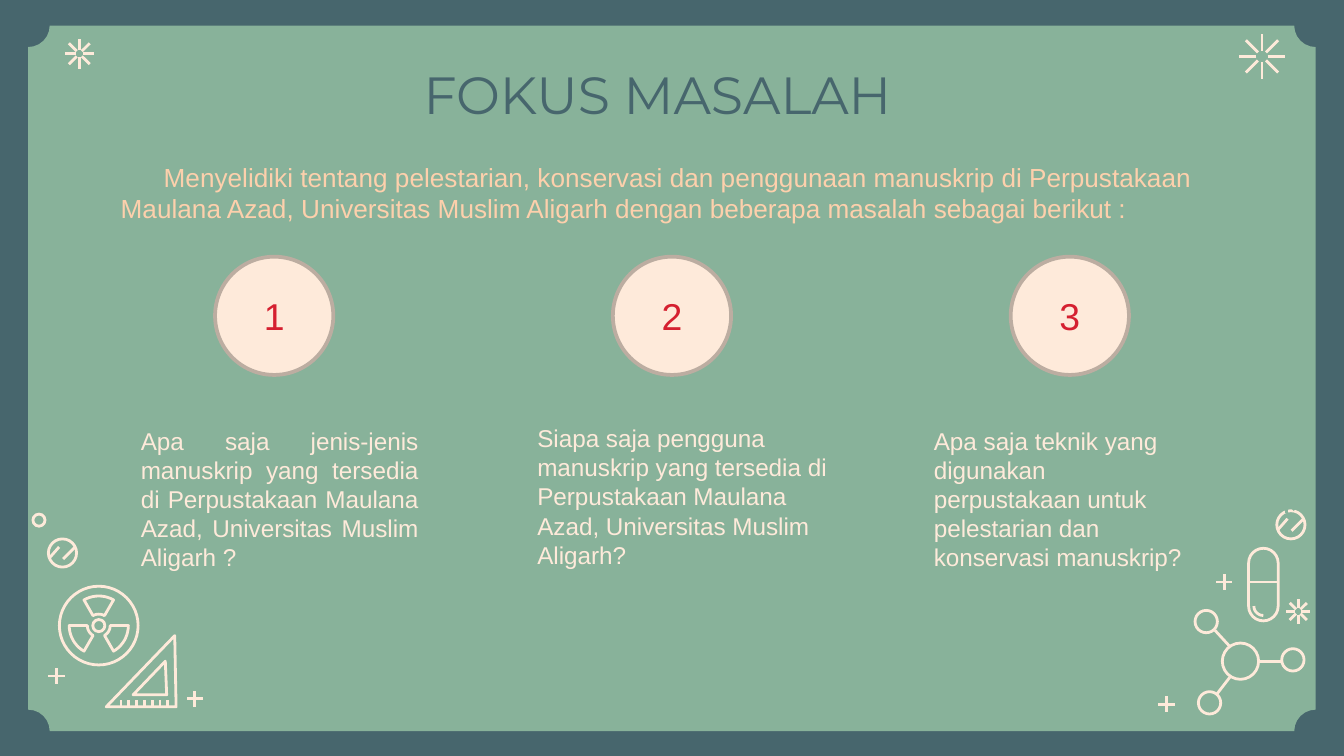
from math import cos, pi, sin

from lxml.etree import SubElement
from pptx import Presentation
from pptx.dml.color import RGBColor
from pptx.enum.shapes import MSO_CONNECTOR, MSO_SHAPE
from pptx.enum.text import MSO_ANCHOR, PP_ALIGN
from pptx.oxml.ns import qn
from pptx.util import Inches, Pt

COLORS = {
    "frame": "47666D",
    "panel": "88B29A",
    "cream": "FEEADA",
    "ring": "BCADA1",
    "number": "D52030",
    "peach": "FDD0AC",
}


def rgb(name):
    return RGBColor.from_string(COLORS[name])


def style(shape, fill=None, line=None, width=1.5):
    shape.shadow.inherit = False
    if fill:
        shape.fill.solid()
        shape.fill.fore_color.rgb = rgb(fill)
    else:
        shape.fill.background()
    if line:
        shape.line.color.rgb = rgb(line)
        shape.line.width = Pt(width)
    else:
        shape.line.fill.background()


def add_preset(slide, kind, left, top, width, height, fill=None, line="cream", line_width=1.5):
    shape = slide.shapes.add_shape(
        kind, Inches(left), Inches(top), Inches(width), Inches(height)
    )
    style(shape, fill, line, line_width)
    return shape


def add_circle(slide, center_x, center_y, radius):
    return add_preset(
        slide, MSO_SHAPE.OVAL, center_x - radius, center_y - radius, 2 * radius, 2 * radius
    )


def add_line(slide, x1, y1, x2, y2, color="cream"):
    connector = slide.shapes.add_connector(
        MSO_CONNECTOR.STRAIGHT, Inches(x1), Inches(y1), Inches(x2), Inches(y2)
    )
    connector.line.color.rgb = rgb(color)
    connector.line.width = Pt(1.5)
    SubElement(connector._element.spPr, qn("a:effectLst"))


def add_outline(slide, points, close=True):
    corners = [(Inches(x), Inches(y)) for x, y in points]
    builder = slide.shapes.build_freeform(*corners[0])
    builder.add_line_segments(corners[1:], close=close)
    style(builder.convert_to_shape(), line="cream")


def arc_points(center_x, center_y, radius, start, end, steps=10):
    angles = [(start + (end - start) * step / steps) * pi / 180 for step in range(steps + 1)]
    return [(center_x + radius * cos(a), center_y + radius * sin(a)) for a in angles]


def add_sparkle(slide, center_x, center_y, radius, color="cream"):
    for ray in range(8):
        x, y = radius * cos(ray * pi / 4), radius * sin(ray * pi / 4)
        add_line(slide, center_x + x / 4, center_y + y / 4, center_x + x, center_y + y, color)


def add_plus(slide, center_x, center_y, arm=0.06):
    add_line(slide, center_x, center_y - arm, center_x, center_y + arm)
    add_line(slide, center_x - arm, center_y, center_x + arm, center_y)


def add_tablet(slide, left, top):
    add_circle(slide, left + 0.105, top + 0.105, 0.105)
    add_line(slide, left + 0.01, top + 0.14, left + 0.08, top + 0.06)
    add_line(slide, left + 0.2, top + 0.06, left + 0.11, top + 0.15)


def add_capsule(slide, left, top, width, height):
    capsule = add_preset(slide, MSO_SHAPE.ROUNDED_RECTANGLE, left, top, width, height)
    capsule.adjustments[0] = 0.5
    add_line(slide, left, top + 0.25, left + width, top + 0.25)
    add_outline(slide, arc_points(left + 0.11, top + 0.43, 0.07, 90, 180), close=False)


def add_molecule(slide, left, top):
    add_circle(slide, left + 0.34, top + 0.38, 0.135)
    for x, y in [(0.085, 0.085), (0.73, 0.37), (0.11, 0.69)]:
        add_circle(slide, left + x, top + y, 0.083)
    for x1, y1, x2, y2 in [
        (0.26, 0.27, 0.15, 0.15),
        (0.48, 0.38, 0.64, 0.38),
        (0.26, 0.5, 0.16, 0.63),
    ]:
        add_line(slide, left + x1, top + y1, left + x2, top + y2)


def add_radiation_sign(slide, left, top, size):
    radius = size / 2
    center = (left + radius, top + radius)
    add_circle(slide, *center, radius * 0.93)
    add_circle(slide, *center, 0.045)
    for start in (0, 120, 240):
        outer = arc_points(*center, 0.22, start, start + 60)
        inner = arc_points(*center, 0.085, start + 60, start)
        add_outline(slide, outer + inner)


def add_set_square(slide, left, top):
    for triangle in (
        [(0.51, 0), (0.52, 0.53), (0, 0.53)],
        [(0.44, 0.19), (0.45, 0.44), (0.2, 0.44)],
    ):
        add_outline(slide, [(left + x, top + y) for x, y in triangle])
    for tick in range(7):
        x = left + 0.11 + tick * 0.058
        add_line(slide, x, top + 0.48, x, top + 0.52)


def add_text(slide, text, left, top, width, height, font, size, color, inset=0.1):
    box = slide.shapes.add_textbox(Inches(left), Inches(top), Inches(width), Inches(height))
    frame = box.text_frame
    frame.word_wrap = True
    frame.margin_left = frame.margin_right = Inches(0.1)
    frame.margin_top = frame.margin_bottom = Inches(inset)
    return write(frame, text, font, size, color)


def write(frame, text, font, size, color):
    paragraph = frame.paragraphs[0]
    paragraph.text = text
    run = paragraph.runs[0]
    run.font.name = font
    run.font.size = Pt(size)
    run.font.color.rgb = rgb(color)
    return paragraph


def add_background(slide, left, top, width, height):
    slide.background.fill.solid()
    slide.background.fill.fore_color.rgb = rgb("frame")
    panel = add_preset(slide, MSO_SHAPE.PLAQUE, left, top, width, height, "panel", None)
    panel.adjustments[0] = 0.16 / height


def add_decorations(slide):
    add_sparkle(slide, 9.39, 0.42, 0.17)
    add_sparkle(slide, 9.66, 4.55, 0.09)
    add_sparkle(slide, 0.59, 0.4, 0.11)
    for center in [(9.11, 4.33), (8.68, 5.24), (1.45, 5.2), (0.42, 5.03)]:
        add_plus(slide, *center)
    add_molecule(slide, 8.89, 4.54)
    add_capsule(slide, 9.29, 4.08, 0.22, 0.54)
    add_tablet(slide, 9.5, 3.8)
    add_tablet(slide, 0.36, 4.01)
    add_radiation_sign(slide, 0.42, 4.34, 0.63)
    add_set_square(slide, 0.79, 4.73)
    add_circle(slide, 0.29, 3.87, 0.045)
    add_sparkle(slide, 9.57, 3.73, 0.09, "panel")


def add_heading(slide, left, top, width):
    title = add_text(
        slide, "FOKUS MASALAH", left + 1.78, top, 4.62, 0.5, "Montserrat", 28, "frame", 0
    )
    title.alignment = PP_ALIGN.CENTER
    intro = add_text(
        slide,
        "Menyelidiki tentang pelestarian, konservasi dan penggunaan manuskrip di Perpustakaan "
        "Maulana Azad, Universitas Muslim Aligarh dengan beberapa masalah sebagai berikut :",
        left, top + 0.69, width, 0.57, "Arial", 14, "peach", 0.05,
    )
    intro._p.get_or_add_pPr().set("indent", str(Inches(0.32)))


def add_question(slide, number, text, left, top, width, circle_left, circle_top, alignment):
    circle = add_preset(
        slide, MSO_SHAPE.OVAL, circle_left, circle_top, 0.88, 0.88, "cream", "ring", 2
    )
    circle.text_frame.vertical_anchor = MSO_ANCHOR.MIDDLE
    label = write(circle.text_frame, str(number), "Arial", 20, "number")
    label.alignment = PP_ALIGN.CENTER
    paragraph = add_text(slide, text, left, top, width, 1.3, "Arial", 13, "cream")
    paragraph.alignment = alignment


def main():
    presentation = Presentation()
    presentation.slide_width = Inches(10)
    presentation.slide_height = Inches(10) * 9 // 16
    slide = presentation.slides.add_slide(presentation.slide_layouts[6])
    add_background(slide, 0.21, 0.19, 9.58, 5.25)
    add_decorations(slide)
    add_heading(slide, 0.8, 0.46, 8.33)
    questions = [
        ("Apa saja jenis-jenis manuskrip yang tersedia di Perpustakaan Maulana Azad, "
         "Universitas Muslim Aligarh ?", 0.95, 3.07, 2.26, PP_ALIGN.JUSTIFY),
        ("Siapa saja pengguna manuskrip yang tersedia di Perpustakaan Maulana Azad, "
         "Universitas Muslim Aligarh?", 3.9, 3.05, 2.36, PP_ALIGN.LEFT),
        ("Apa saja teknik yang digunakan perpustakaan untuk pelestarian dan "
         "konservasi manuskrip?", 6.85, 3.07, 2.15, PP_ALIGN.LEFT),
    ]
    for index, (text, left, top, width, alignment) in enumerate(questions):
        add_question(
            slide, index + 1, text, left, top, width, 1.6 + index * 2.96, 1.91, alignment
        )
    presentation.save("out.pptx")


if __name__ == "__main__":
    main()
